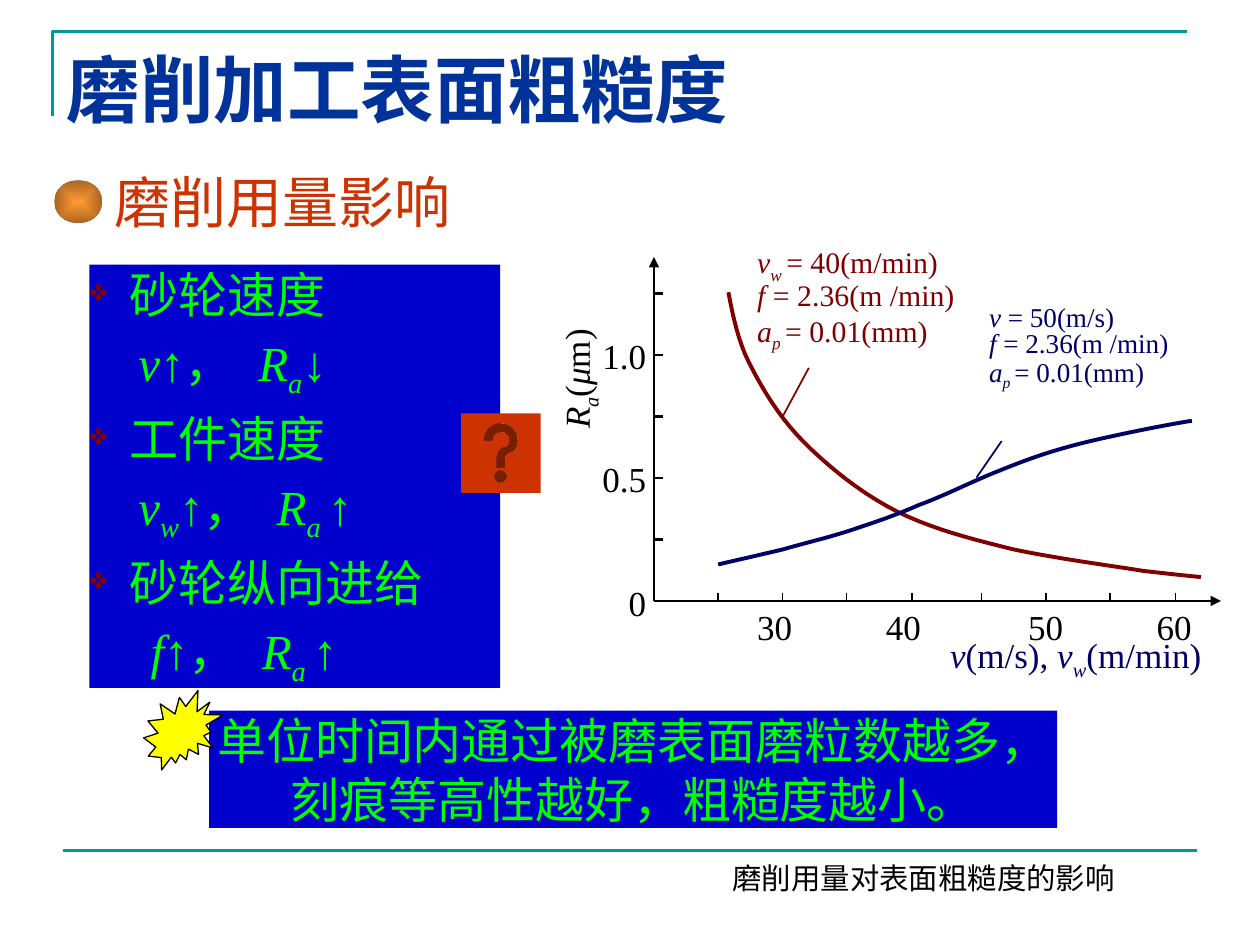
"""Build the slide on how grinding parameters affect surface roughness."""
from lxml import etree
from pptx import Presentation
from pptx.dml.color import RGBColor
from pptx.enum.shapes import MSO_CONNECTOR, MSO_SHAPE
from pptx.enum.text import MSO_ANCHOR, PP_ALIGN
from pptx.oxml.ns import qn
from pptx.util import Pt

STRAIGHT = MSO_CONNECTOR.STRAIGHT
RECTANGLE, OVAL = MSO_SHAPE.RECTANGLE, MSO_SHAPE.OVAL
HELP_BUTTON, BURST = MSO_SHAPE.ACTION_BUTTON_HELP, MSO_SHAPE.EXPLOSION2
CENTER, JUSTIFY = PP_ALIGN.CENTER, PP_ALIGN.JUSTIFY
TOP, MIDDLE = MSO_ANCHOR.TOP, MSO_ANCHOR.MIDDLE
SERIF, SANS = "Times New Roman", "Noto Sans CJK SC"

COLORS = {
    "teal": "009999", "title": "003399", "heading": "CC3300", "black": "000000",
    "red": "800000", "navy": "000066", "panel": "0000CC", "green": "00FF00",
    "yellow": "FFFF00", "orange": "FF9933", "brown": "A96522",
}

TITLE = [[("磨削加工表面粗糙度", "")]]
HEADING = [[("磨削用量影响", "")]]
CAPTION = [[("磨削用量对表面粗糙度的影响", "")]]
CONCLUSION = [[("单位时间内通过被磨表面磨粒数越多，刻痕等高性越好，粗糙度越小。", "")]]
EFFECTS = [
    ("砂轮速度", [("\tv", "i"), ("↑，\t", ""), ("R", "i"), ("a", "s"), ("↓", "")], (28, 96.5)),
    ("工件速度", [("\tv", "i"), ("w", "s"), ("↑，\t", ""), ("R", "i"), ("a ", "s"), ("↑", "")],
     (28, 107)),
    ("砂轮纵向进给", [("\tf", "i"), ("↑，\t", ""), ("R", "i"), ("a ", "s"), ("↑", "")],
     (35, 98.5)),
]
FEED_AND_DEPTH = [
    [("f ", "i"), ("= 2.36(m /min)", "")],
    [("a", "i"), ("p ", "s"), ("= 0.01(mm)", "")],
]
WORK_SPEED_NOTE = [[("v", "i"), ("w ", "s"), ("= 40(m/min)", "")]] + FEED_AND_DEPTH
WHEEL_SPEED_NOTE = [[("v", "i"), (" = 50(m/s)", "")]] + FEED_AND_DEPTH
X_TITLE = [[("v", "i"), ("(m/s), ", ""), ("v", "i"), ("w", "s"), ("(m/min)", "")]]
Y_TITLE = [[("R", "i"), ("a", "s"), ("(", ""), ("μ", "i"), ("m)", "")]]

ORIGIN, X_END, Y_END = (373.7, 343.4), 697.7, 146.9
Y_STEP, Y_TICKS = 35.14, 5
X_TICKS = [410.4, 447.1, 483.8, 521.3, 560.9, 597.6, 634.3, 671.8]
AXIS_LABELS = [
    ("0", 359.3, 329.8), ("0.5", 344.2, 259.2), ("1.0", 344.2, 188.6),
    ("30", 432.7, 343.4), ("40", 506.2, 343.4), ("50", 587.5, 343.4), ("60", 661, 343.4),
]
CURVES = {
    "red": [
        (416.2, 167), (417.6, 173.5), (420.5, 192.2), (427.7, 206.6), (434.9, 221),
        (445, 238.3), (459.4, 252.7), (473.8, 267.1), (492.5, 282.2), (512.6, 292.3),
        (532.8, 302.4), (555.8, 308.2), (578.9, 313.9), (602.6, 319), (635, 323.3),
        (653, 326.2), (670.3, 328.3), (679, 329), (686.2, 329.8)],
    "navy": [
        (410.4, 322.6), (416.9, 321.1), (435.6, 316.8), (447.8, 313.9), (460.1, 310.3),
        (473, 307.4), (486, 303.1), (499, 298.8), (511.9, 294.5), (524.9, 288.7),
        (538.6, 283.7), (553, 276.5), (565.2, 271.4), (577.4, 266.4), (588.2, 262.1),
        (599.8, 258.5), (611.3, 254.9), (622.8, 252), (636.5, 249.1), (649.4, 246.2),
        (671.8, 241.9), (681.1, 240.5)],
}
LEADERS = {"red": (447.1, 238.3, 462.2, 210.2), "navy": (558, 272.9, 572.4, 252)}


def color(name):
    return RGBColor.from_string(COLORS[name])


def child(parent, tag, **attributes):
    return etree.SubElement(parent, qn(tag), attributes)


def write(box, paragraphs, size, ink, font=SERIF, bold=False, align=JUSTIFY,
          spacing=None, before=0, anchor=TOP, inset=(0, 0)):
    frame = box.text_frame
    across, down = map(Pt, inset)
    layout = {"word_wrap": True, "vertical_anchor": anchor, "margin_left": across,
              "margin_right": across, "margin_top": down, "margin_bottom": down}
    for key, value in layout.items():
        setattr(frame, key, value)
    for index, spans in enumerate(paragraphs):
        para = frame.add_paragraph() if index else frame.paragraphs[0]
        para.alignment = align
        if spacing:
            para.line_spacing = spacing
        if index and before:
            para.space_before = Pt(before)
        for text, style in spans:
            span = para.add_run()
            span.text = text
            look = {"size": Pt(size), "name": font, "bold": bold, "italic": style != ""}
            for key, value in look.items():
                setattr(span.font, key, value)
            span.font.color.rgb = color(ink)
            if style == "s":
                span._r.get_or_add_rPr().set("baseline", "-25000")
    return frame


def add_text(page, place, paragraphs, size, ink, **options):
    box = page.shapes.add_textbox(*map(Pt, place))
    write(box, paragraphs, size, ink, **options)
    return box


def add_shape(page, kind, place, fill):
    shape = page.shapes.add_shape(kind, *map(Pt, place))
    shape.shadow.inherit = False
    shape.fill.solid()
    shape.fill.fore_color.rgb = color(fill)
    shape.line.fill.background()
    return shape


def add_line(page, ends, ink, width, arrow=False):
    line = page.shapes.add_connector(STRAIGHT, *map(Pt, ends))
    line.line.color.rgb = color(ink)
    line.line.width = Pt(width)
    if arrow:
        child(line.line._get_or_add_ln(), "a:tailEnd", type="triangle")
    child(line._element.spPr, "a:effectLst")


def add_outline(page, points, ink, width):
    first, *rest = [(Pt(x), Pt(y)) for x, y in points]
    builder = page.shapes.build_freeform(*first)
    builder.add_line_segments(rest, close=False)
    shape = builder.convert_to_shape()
    shape.shadow.inherit = False
    shape.fill.background()
    shape.line.color.rgb = color(ink)
    shape.line.width = Pt(width)


def bezier(points, steps=10):
    result = [points[0]]
    for start in range(0, len(points) - 1, 3):
        knots = points[start:start + 4]
        for step in range(1, steps + 1):
            t = step / steps
            weights = ((1 - t) ** 3, 3 * t * (1 - t) ** 2, 3 * t * t * (1 - t), t ** 3)
            result.append(tuple(sum(w * k[axis] for w, k in zip(weights, knots))
                                for axis in (0, 1)))
    return result


def add_diagram(page):
    for ink, points in CURVES.items():
        add_outline(page, bezier(points), ink, 2.25)
        add_line(page, LEADERS[ink], ink, 1)
    left, bottom = ORIGIN
    add_line(page, (left, bottom, left, Y_END), "black", 1, arrow=True)
    add_line(page, (left, bottom, X_END, bottom), "black", 1, arrow=True)
    for index in range(1, Y_TICKS + 1):
        y = bottom - index * Y_STEP
        add_line(page, (left, y, left + 5, y), "black", 1.5)
    for x in X_TICKS:
        add_line(page, (x, bottom - 4.3, x, bottom + 0.7), "black", 1)
    for text, x, y in AXIS_LABELS:
        add_text(page, (x, y, 14.4 * len(text[:2]), 26.6), [[(text, "")]], 20, "black",
                 spacing=1.1)
    add_text(page, (432.7, 139.7, 154.8, 70.6), WORK_SPEED_NOTE, 17, "red", spacing=0.9)
    add_text(page, (565.2, 175, 154.8, 63.4), WHEEL_SPEED_NOTE, 15.5, "navy", spacing=0.8)
    add_text(page, (542.9, 359.3, 162, 33.1), X_TITLE, 20, "navy", spacing=1.1)
    y_title = add_text(page, (280.1, 180.7, 98.6, 30.2), Y_TITLE, 20, "black", spacing=1.1)
    y_title.rotation = 270


def add_effects(page):
    panel = add_shape(page, RECTANGLE, (51.1, 151.2, 234.7, 241.9), "panel")
    paragraphs = [spans for name, change, _ in EFFECTS for spans in ([(name, "")], change)]
    frame = write(panel, paragraphs, 28, "green", before=5.2)
    for index, (_, _, stops) in enumerate(EFFECTS):
        topic, change = [para._p.get_or_add_pPr()
                         for para in frame.paragraphs[2 * index:2 * index + 2]]
        topic.set("marL", str(Pt(23)))
        topic.set("indent", str(Pt(-23)))
        child(child(topic, "a:buClr"), "a:srgbClr", val=COLORS["red"])
        child(topic, "a:buSzPct", val="65000")
        child(topic, "a:buChar", char="❖")
        tabs = child(change, "a:tabLst")
        for stop in stops:
            child(tabs, "a:tab", pos=str(Pt(stop)), algn="l")


def add_heading(page):
    add_text(page, (58.3, 88.6, 297.4, 49.7), HEADING, 32, "heading", spacing=1.1,
             inset=(7.2, 3.6))
    dot = add_shape(page, OVAL, (31, 103, 27.4, 24.5), "orange")
    dot.fill.gradient()
    for stop, name, position in zip(dot.fill.gradient_stops, ("orange", "brown"), (0, 1)):
        stop.color.rgb = color(name)
        stop.position = position
    gradient = dot._element.spPr.find(qn("a:gradFill"))
    gradient.remove(gradient.find(qn("a:lin")))
    focus = child(gradient, "a:path", path="rect")
    child(focus, "a:fillToRect", l="50000", t="50000", r="50000", b="50000")


def main():
    deck = Presentation()
    deck.slide_width, deck.slide_height = Pt(720), Pt(540)
    page = deck.slides.add_slide(deck.slide_layouts[6])
    add_outline(page, [(30.2, 66.2), (30.2, 18), (678.2, 18)], "teal", 1.5)
    add_line(page, (36, 486, 684, 486), "teal", 1.5)
    add_text(page, (347.8, 491.8, 360, 29.5), CAPTION, 16.8, "black", align=CENTER,
             spacing=0.8, inset=(7.2, 3.6))
    add_diagram(page)
    add_effects(page)
    add_heading(page)
    add_text(page, (31, 20.2, 588.2, 59.8), TITLE, 42, "title", font=SANS, bold=True,
             align=None, anchor=MIDDLE, inset=(7.2, 3.6))
    add_shape(page, HELP_BUTTON, (263.5, 236.2, 45.4, 45.4), "heading")
    banner = add_shape(page, RECTANGLE, (119.5, 406.1, 484.6, 67), "panel")
    write(banner, CONCLUSION, 28, "green", align=CENTER, anchor=MIDDLE)
    burst = add_shape(page, BURST, (82.1, 394.6, 45.4, 45.4), "yellow")
    burst.line.color.rgb = color("black")
    burst.line.width = Pt(0.75)
    deck.save("out.pptx")


if __name__ == "__main__":
    main()
